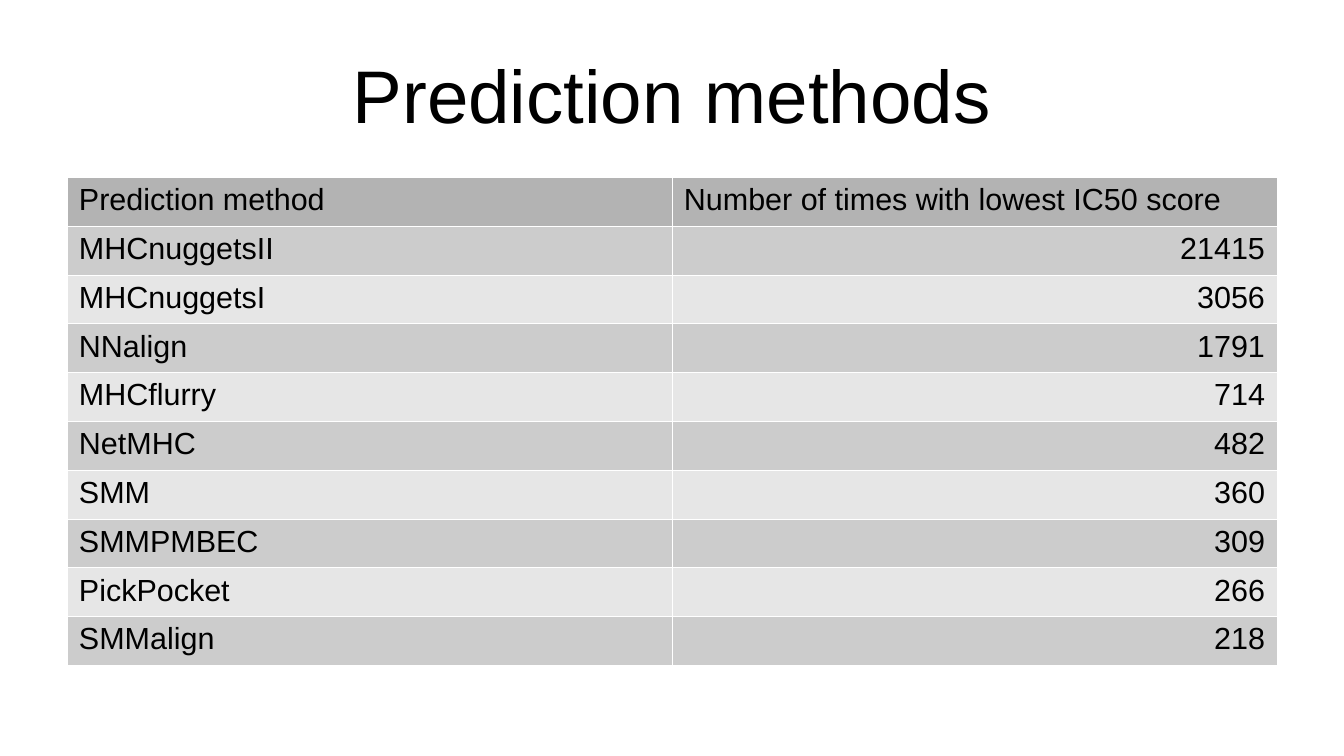
from lxml.etree import SubElement
from pptx import Presentation
from pptx.dml.color import RGBColor
from pptx.enum.text import MSO_ANCHOR, MSO_AUTO_SIZE, PP_ALIGN
from pptx.oxml.ns import qn
from pptx.util import Pt

SCALE = 914400 / 122  # EMU in one pixel
BLACK = RGBColor(0x00, 0x00, 0x00)
WHITE = RGBColor(0xFF, 0xFF, 0xFF)
HEAD = RGBColor(0xB3, 0xB3, 0xB3)
BANDS = (RGBColor(0xCC, 0xCC, 0xCC), RGBColor(0xE6, 0xE6, 0xE6))

HEADERS = ("Prediction method", "Number of times with lowest IC50 score")
COUNTS = {
    "MHCnuggetsII": 21415,
    "MHCnuggetsI": 3056,
    "NNalign": 1791,
    "MHCflurry": 714,
    "NetMHC": 482,
    "SMM": 360,
    "SMMPMBEC": 309,
    "PickPocket": 266,
    "SMMalign": 218,
}


def px(count):
    return round(count * SCALE)


def style(item, values):
    for name, value in values.items():
        setattr(item, name, value)


def write(frame, text, size, align):
    para = frame.paragraphs[0]
    para.alignment = align
    run = para.add_run()
    run.text = text
    style(run.font, {"name": "Arial", "size": Pt(size), "bold": False})
    run.font.color.rgb = BLACK


def rule(cell):
    """Draw thin white lines on all four sides, ahead of the cell fill."""
    props = cell._tc.get_or_add_tcPr()
    for side in ("a:lnL", "a:lnR", "a:lnT", "a:lnB"):
        line = SubElement(props, qn(side), w=str(Pt(0.06)))
        fill = SubElement(line, qn("a:solidFill"))
        SubElement(fill, qn("a:srgbClr"), val=str(WHITE))


def add_title(slide, box, text):
    title = slide.shapes.title
    style(title, dict(zip(("left", "top", "width", "height"), map(px, box))))
    frame = title.text_frame
    style(frame, {
        "margin_left": 0, "margin_right": 0, "margin_top": 0, "margin_bottom": 0,
        "vertical_anchor": MSO_ANCHOR.MIDDLE, "word_wrap": True,
        "auto_size": MSO_AUTO_SIZE.NONE,
    })
    write(frame, text, 44, PP_ALIGN.CENTER)


def add_counts(slide, box):
    rows = [HEADERS, *COUNTS.items()]
    table = slide.shapes.add_table(len(rows), len(HEADERS), *map(px, box)).table
    for r, row in enumerate(rows):
        for c, value in enumerate(row):
            cell = table.cell(r, c)
            style(cell, {
                "margin_left": px(12), "margin_right": px(12),
                "margin_top": px(6), "margin_bottom": px(6),
            })
            rule(cell)
            cell.fill.solid()
            cell.fill.fore_color.rgb = BANDS[(r - 1) % 2] if r else HEAD
            align = PP_ALIGN.RIGHT if r and c else PP_ALIGN.LEFT
            write(cell.text_frame, str(value), 18, align)


deck = Presentation()
style(deck, {"slide_width": px(1344), "slide_height": px(756)})
slide = deck.slides.add_slide(deck.slide_layouts[5])

# Heading
add_title(slide, (67, 49, 1210, 89), "Prediction methods")
# Method counts
add_counts(slide, (67, 177, 1210, 488))

deck.save("out.pptx")
